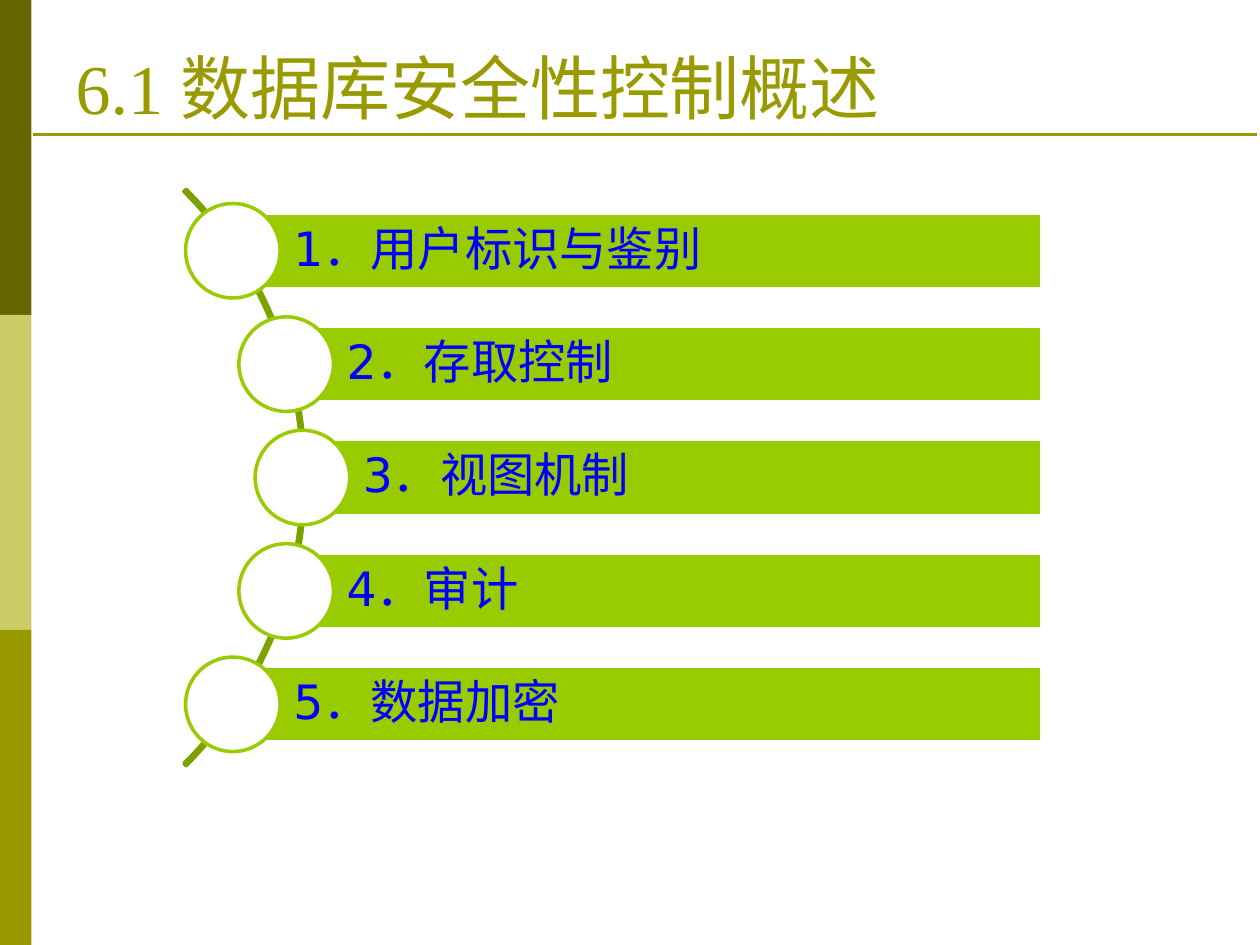
import math

import pptx
import pptx.dml.color
import pptx.enum.shapes
import pptx.enum.text
import pptx.oxml.ns
import pptx.util
from lxml import etree

Inches = pptx.util.Inches
Pt = pptx.util.Pt
Shapes = pptx.enum.shapes.MSO_SHAPE

TITLE = "6.1 数据库安全性控制概述"
TOPICS = ["1．用户标识与鉴别", "2．存取控制", "3．视图机制", "4．审计", "5．数据加密"]

THEME = {
    "sidebar": ["666600", "CCCC66", "999900"],
    "title": "999900",
    "bar": "99CC00",
    "arc": "7BA300",
    "white": "FFFFFF",
    "topic": "0000FF",
    "title_font": "Times New Roman",
    "topic_font": "DejaVu Sans",
    "title_size": 40,
    "topic_size": 27,
    "rule_width": 1.5,
    "outline_width": 2,
}

SIDEBAR_WIDTH, SIDEBAR_HEIGHT = 0.25, 2.5
ARC_CENTER_X, ARC_CENTER_Y, ARC_SIZE = -0.81, 3.79, 6.47
CIRCLE_TRACK_RADIUS = 3.21
CIRCLE_SIZE, BAR_HEIGHT, BAR_RIGHT, ROW_PITCH = 0.75, 0.6, 8.27, 0.9


def color(name):
    return pptx.dml.color.RGBColor.from_string(name)


def add_shape(slide, kind, left, top, width, height, fill=None, line=None):
    shape = slide.shapes.add_shape(
        kind, Inches(left), Inches(top), Inches(width), Inches(height))
    shape.shadow.inherit = False
    if fill:
        shape.fill.solid()
        shape.fill.fore_color.rgb = color(fill)
    else:
        shape.fill.background()
    if line:
        shape.line.color.rgb = color(line)
        shape.line.width = Pt(THEME["outline_width"])
    else:
        shape.line.fill.background()
    return shape


def format_text(paragraph, font, size, font_color):
    paragraph.alignment = pptx.enum.text.PP_ALIGN.LEFT
    for run in paragraph.runs:
        run.font.name = font
        run.font.size = Pt(size)
        run.font.color.rgb = color(font_color)


def add_frame(slide):
    for index, fill in enumerate(THEME["sidebar"]):
        add_shape(slide, Shapes.RECTANGLE, 0, index * SIDEBAR_HEIGHT,
                  SIDEBAR_WIDTH, SIDEBAR_HEIGHT, fill)
    rule = slide.shapes.add_connector(
        pptx.enum.shapes.MSO_CONNECTOR.STRAIGHT,
        Inches(0.26), Inches(1.07), Inches(9.98), Inches(1.07))
    rule.line.color.rgb = color(THEME["title"])
    rule.line.width = Pt(THEME["rule_width"])
    etree.SubElement(rule._element.spPr, pptx.oxml.ns.qn("a:effectLst"))


def add_title(slide):
    title = slide.shapes.title
    title.left, title.top = Inches(0.5), Inches(0.3)
    title.width, title.height = Inches(9), Inches(0.77)
    frame = title.text_frame
    frame.text = TITLE
    frame.auto_size = pptx.enum.text.MSO_AUTO_SIZE.NONE
    frame.vertical_anchor = pptx.enum.text.MSO_ANCHOR.BOTTOM
    format_text(frame.paragraphs[0], THEME["title_font"],
                THEME["title_size"], THEME["title"])


def add_topic(slide, text, offset):
    center_x = ARC_CENTER_X + math.sqrt(CIRCLE_TRACK_RADIUS ** 2 - offset ** 2)
    center_y = ARC_CENTER_Y + offset
    bar = add_shape(slide, Shapes.RECTANGLE, center_x, center_y - BAR_HEIGHT / 2,
                    BAR_RIGHT - center_x, BAR_HEIGHT, THEME["bar"], THEME["white"])
    frame = bar.text_frame
    frame.text = text
    frame.word_wrap = True
    frame.vertical_anchor = pptx.enum.text.MSO_ANCHOR.MIDDLE
    frame.margin_left = Inches(0.48)
    frame.margin_top = frame.margin_right = frame.margin_bottom = Inches(0.07)
    paragraph = frame.paragraphs[0]
    paragraph.line_spacing = 0.9
    format_text(paragraph, THEME["topic_font"], THEME["topic_size"], THEME["topic"])
    add_shape(slide, Shapes.OVAL, center_x - CIRCLE_SIZE / 2,
              center_y - CIRCLE_SIZE / 2, CIRCLE_SIZE, CIRCLE_SIZE,
              THEME["white"], THEME["bar"])


def add_topics(slide):
    arc = add_shape(slide, Shapes.BLOCK_ARC, ARC_CENTER_X - ARC_SIZE / 2,
                    ARC_CENTER_Y - ARC_SIZE / 2, ARC_SIZE, ARC_SIZE, line=THEME["arc"])
    for index, value in enumerate((189, 27, 0.004)):
        arc.adjustments[index] = value
    middle = (len(TOPICS) - 1) / 2
    for index, text in enumerate(TOPICS):
        add_topic(slide, text, (index - middle) * ROW_PITCH)


def main():
    presentation = pptx.Presentation()
    presentation.slide_width, presentation.slide_height = Inches(10), Inches(7.5)
    slide = presentation.slides.add_slide(presentation.slide_layouts[5])
    add_frame(slide)
    add_title(slide)
    add_topics(slide)
    presentation.save("out.pptx")


if __name__ == "__main__":
    main()
